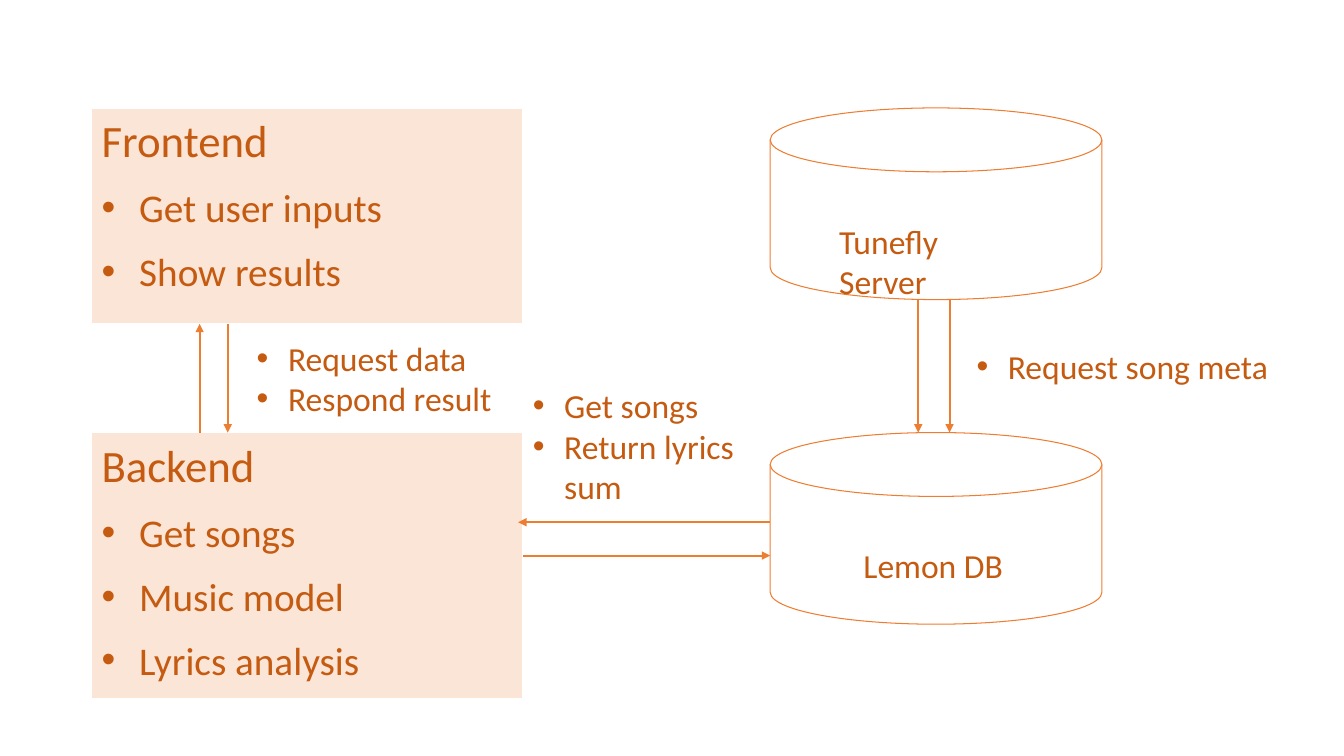
from dataclasses import dataclass
from typing import Any

from lxml import etree
from pptx import Presentation, util as u
from pptx.dml.color import RGBColor
from pptx.enum import shapes, text
from pptx.oxml import ns

FONT = "Calibri"
TEXT, ACCENT, PANEL, WHITE = "C55A11", "ED7D31", "FBE5D6", "FFFFFF"
TOP_ROW, BOTTOM_ROW = 2.72, 10.9
PANEL_LEFT, PANEL_WIDTH = 2.31, 10.87
PANEL_RIGHT = PANEL_LEFT + PANEL_WIDTH
FRONTEND_HEIGHT, BACKEND_HEIGHT = 5.44, 6.71
STORE_LEFT, STORE_WIDTH, STORE_HEIGHT = 19.41, 8.36, 4.83
FRONTEND_BOTTOM = TOP_ROW + FRONTEND_HEIGHT
SERVER_BOTTOM = TOP_ROW + STORE_HEIGHT


@dataclass(frozen=True)
class Panel:
    """A tinted component with a heading and its duties."""
    heading: str
    duties: tuple[str, ...]
    top: float
    height: float


@dataclass(frozen=True)
class Label:
    """A free text, bulleted or plain, in centimetres."""
    lines: tuple[str, ...]
    left: float
    top: float
    width: float
    height: float
    bulleted: bool = True
    wrap: bool = False


@dataclass(frozen=True)
class Arrow:
    """A straight arrow from start to end, in centimetres."""
    start: tuple[float, float]
    end: tuple[float, float]


PANELS = (
    Panel("Frontend", ("Get user inputs", "Show results"), TOP_ROW, FRONTEND_HEIGHT),
    Panel("Backend", ("Get songs", "Music model", "Lyrics analysis"), BOTTOM_ROW, BACKEND_HEIGHT),
)
LABELS = (
    Label(("Request data", "Respond result"), 6.22, 8.38, 6.5, 2.31),
    Label(("Lemon DB",), 21.51, 13.61, 4.11, 1.27, bulleted=False),
    Label(("Get songs", "Return lyrics sum"), PANEL_RIGHT, 9.58, 6.22, 3.33, wrap=True),
    Label(("Tunefly Server",), 20.9, 5.44, 5.36, 1.27, bulleted=False),
    Label(("Request song meta",), 24.36, 8.59, 7.92, 1.27),
)
ARROWS = (
    Arrow((5.03, BOTTOM_ROW), (5.03, FRONTEND_BOTTOM)),
    Arrow((5.74, FRONTEND_BOTTOM), (5.74, BOTTOM_ROW)),
    Arrow((PANEL_RIGHT, 14), (STORE_LEFT, 14)),
    Arrow((STORE_LEFT, 13.16), (13.06, 13.16)),
    Arrow((23.14, SERVER_BOTTOM), (23.14, BOTTOM_ROW)),
    Arrow((23.93, SERVER_BOTTOM), (23.93, BOTTOM_ROW)),
)


def color(value: str) -> RGBColor:
    """Turn a hex string into a colour."""
    return RGBColor.from_string(value)


def apply_format(target: Any, values: dict[str, Any]) -> None:
    """Set each named attribute on the target."""
    for name, value in values.items():
        setattr(target, name, value)


def add_bullet(paragraph: Any, indent: float) -> None:
    """Give a paragraph a round bullet and a hanging indent."""
    properties = paragraph._p.get_or_add_pPr()
    properties.set("marL", str(u.Cm(indent)))
    properties.set("indent", str(-u.Cm(indent)))
    etree.SubElement(properties, ns.qn("a:buFont")).set("typeface", "Arial")
    etree.SubElement(properties, ns.qn("a:buChar")).set("char", "•")


def write_line(frame: Any, index: int, line: str, size: int, spacing: int = 0,
               indent: float = 0) -> None:
    """Write one paragraph, bulleted when it has an indent."""
    paragraph = frame.add_paragraph() if index else frame.paragraphs[0]
    apply_format(paragraph, {"alignment": text.PP_ALIGN.LEFT,
                             "space_before": u.Pt(spacing), "space_after": u.Pt(spacing)})
    run = paragraph.add_run()
    run.text = line
    apply_format(run.font, {"name": FONT, "size": u.Pt(size)})
    run.font.color.rgb = color(TEXT)
    if indent:
        add_bullet(paragraph, indent)


def draw_panel(slide: Any, panel: Panel) -> None:
    """Draw a component with its heading and bulleted duties."""
    shape = slide.shapes.add_shape(
        shapes.MSO_SHAPE.RECTANGLE, u.Cm(PANEL_LEFT), u.Cm(panel.top),
        u.Cm(PANEL_WIDTH), u.Cm(panel.height))
    shape.shadow.inherit = False
    shape.fill.solid()
    shape.fill.fore_color.rgb = color(PANEL)
    shape.line.color.rgb = color(WHITE)
    shape.line.width = u.Pt(1)
    frame = shape.text_frame
    apply_format(frame, {"word_wrap": True, "vertical_anchor": text.MSO_ANCHOR.TOP})
    write_line(frame, 0, panel.heading, 32, spacing=6)
    for index, duty in enumerate(panel.duties, start=1):
        write_line(frame, index, duty, 28, spacing=6, indent=0.95)


def draw_store(slide: Any, top: float) -> None:
    """Draw an outlined data store."""
    shape = slide.shapes.add_shape(
        shapes.MSO_SHAPE.FLOWCHART_MAGNETIC_DISK, u.Cm(STORE_LEFT), u.Cm(top),
        u.Cm(STORE_WIDTH), u.Cm(STORE_HEIGHT))
    shape.shadow.inherit = False
    shape.fill.background()
    shape.line.color.rgb = color(ACCENT)
    shape.line.width = u.Pt(0.75)


def draw_label(slide: Any, label: Label) -> None:
    """Draw a free text."""
    box = slide.shapes.add_textbox(
        u.Cm(label.left), u.Cm(label.top), u.Cm(label.width), u.Cm(label.height))
    apply_format(box.text_frame, {"word_wrap": label.wrap,
                                  "auto_size": text.MSO_AUTO_SIZE.SHAPE_TO_FIT_TEXT})
    for index, line in enumerate(label.lines):
        write_line(box.text_frame, index, line, 24, indent=0.79 if label.bulleted else 0)


def draw_arrow(slide: Any, arrow: Arrow) -> None:
    """Draw a connector with a triangle at its end."""
    connector = slide.shapes.add_connector(
        shapes.MSO_CONNECTOR.STRAIGHT, *map(u.Cm, arrow.start + arrow.end))
    connector.line.color.rgb = color(ACCENT)
    connector.line.width = u.Pt(1.5)
    etree.SubElement(connector.line._get_or_add_ln(), ns.qn("a:tailEnd")).set("type", "triangle")
    etree.SubElement(connector._element.spPr, ns.qn("a:effectLst"))


def main() -> None:
    """Build and save the architecture slide."""
    presentation = Presentation()
    apply_format(presentation, {"slide_width": u.Cm(33.87), "slide_height": u.Cm(19.05)})
    slide = presentation.slides.add_slide(presentation.slide_layouts[6])
    for panel in PANELS:
        draw_panel(slide, panel)
    for top in (TOP_ROW, BOTTOM_ROW):
        draw_store(slide, top)
    for arrow in ARROWS:
        draw_arrow(slide, arrow)
    for label in LABELS:
        draw_label(slide, label)
    presentation.save("out.pptx")


main()
